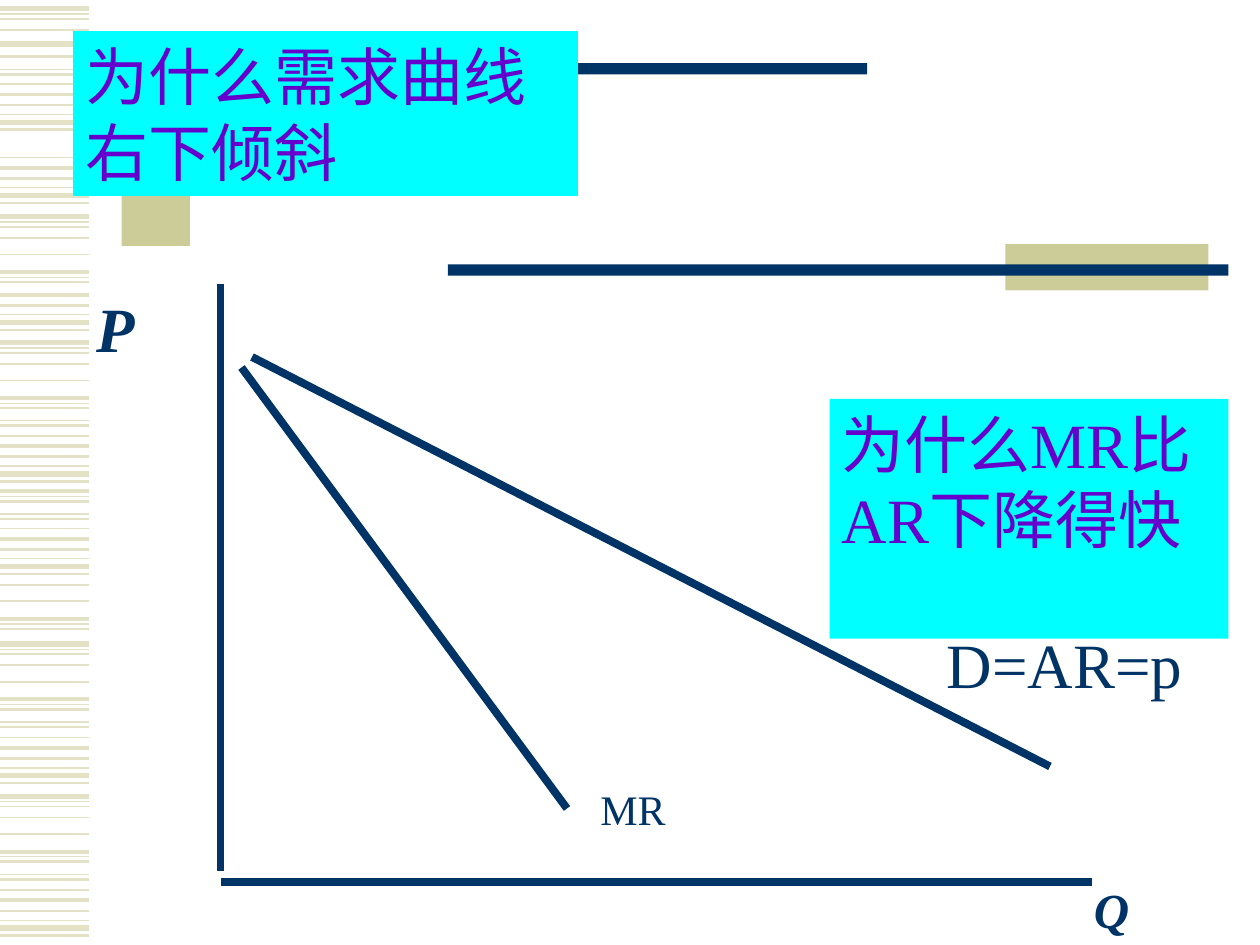
from lxml.etree import SubElement
from pptx import Presentation
from pptx.dml.color import RGBColor
from pptx.enum.shapes import MSO_CONNECTOR, MSO_SHAPE
from pptx.enum.text import MSO_ANCHOR, PP_ALIGN
from pptx.oxml.ns import qn
from pptx.util import Pt

NAVY, SAND, PALE = "003366", "CCCC99", "E3E2C7"
CYAN, VIOLET = "00FFFF", "6600CC"

DENSE = [(0, 1), (6, 2.25), (12, 1.5), (17.3, 0.75), (21.8, 3), (26, 1.5)]
SPARSE = [(0, 3), (3, 0.75), (5.8, 1), (12.2, 1), (21.6, 1), (31.7, 2.25),
          (34.6, 0.75), (37.4, 1.5), (44.6, 0.75), (47.5, 1.5)]
BANDS = [
    (-5, SPARSE[7:]), (5, SPARSE[:4]), (25.2, SPARSE[:1]), (48, DENSE),
    (80.5, SPARSE[:1][1:] + DENSE[:1][1:]), (90, DENSE),
    (123.8, SPARSE[:8]), (162.5, DENSE[1:]), (195.8, SPARSE),
    (249, DENSE), (249.1, SPARSE[5:]), (302, DENSE), (322, SPARSE[3:8]),
    (368, SPARSE), (421.5, DENSE), (455, SPARSE), (508.5, DENSE),
]
BANDS = [band for band in BANDS if band[1]]


def paint(part, color):
    part.solid()
    part.fore_color.rgb = RGBColor.from_string(color)


def add_line(slide, start, end, color, width):
    line = slide.shapes.add_connector(
        MSO_CONNECTOR.STRAIGHT, *[Pt(v) for v in (*start, *end)])
    paint(line.line.fill, color)
    line.line.width = Pt(width)
    SubElement(line.element.spPr, qn("a:effectLst"))


def add_rect(slide, box, color, edge=None):
    rect = slide.shapes.add_shape(MSO_SHAPE.RECTANGLE, *[Pt(v) for v in box])
    rect.shadow.inherit = False
    paint(rect.fill, color)
    if edge:
        paint(rect.line.fill, edge)
        rect.line.width = Pt(1)
    else:
        rect.line.fill.background()
    return rect


def write(shape, text, size=36, color=NAVY, bold=False, italic=False):
    frame = shape.text_frame
    frame.word_wrap = True
    frame.vertical_anchor = MSO_ANCHOR.TOP
    para = frame.paragraphs[0]
    para.alignment = PP_ALIGN.LEFT
    run = para.add_run()
    run.text = text
    font = run.font
    font.name, font.size = "Times New Roman", Pt(size)
    font.bold, font.italic = bold, italic
    paint(font.fill, color)


def add_label(slide, box, text, **style):
    write(slide.shapes.add_textbox(*[Pt(v) for v in box]), text, **style)


def add_note(slide, box, text, edge=None):
    write(add_rect(slide, box, CYAN, edge), text, color=VIOLET)


def draw_edge(slide, box):
    left, top, width, _ = box
    for start, band in BANDS:
        for step, weight in band:
            y = top + start + step
            add_line(slide, (left, y), (left + width, y), PALE, weight)


def draw_bars(slide, box):
    left, top, _, _ = box
    for x, y, width, height, color in [
            (20, -10, 39, 114.5, SAND), (0, 0, 446, 6.5, NAVY),
            (525, 103.5, 116, 26.5, SAND), (206.5, 115, 446, 6.5, NAVY)]:
        add_rect(slide, (left + x, top + y, width, height), color)


def draw_graph(slide, box):
    left, top, width, height = box
    for start, end in [
            ((0, 0), (0, height - 6)), ((0, height), (width, height)),
            ((18, 42), (474, 276)), ((12, 48), (198, 300))]:
        add_line(slide, (left + start[0], top + start[1]),
                 (left + end[0], top + end[1]), NAVY, 4.5)
    for x, y, wide, high, text, style in [
            (210, 282, 114, 36, "MR", {"size": 24}),
            (408, 192, 186, 50.5, "D=AR=p", {}),
            (-78, 0, 60, 50.5, "P", {"bold": True, "italic": True}),
            (492, 337, 60, 41, "Q",
             {"size": 28, "bold": True, "italic": True})]:
        add_label(slide, (left + x, top + y, wide, high), text, **style)


def main():
    deck = Presentation()
    deck.slide_width, deck.slide_height = Pt(720), Pt(540)
    slide = deck.slides.add_slide(deck.slide_layouts[6])
    paint(slide.background.fill, "FFFFFF")
    draw_edge(slide, (0, 0, 51, 540))
    draw_bars(slide, (49.5, 36, 652.5, 130))
    add_note(slide, (42, 18, 288, 93.5), "为什么需求曲线右下倾斜", CYAN)
    add_note(slide, (474, 228, 228, 137), "为什么MR比AR下降得快")
    draw_graph(slide, (126, 162, 498, 342))
    deck.save("out.pptx")


if __name__ == "__main__":
    main()
